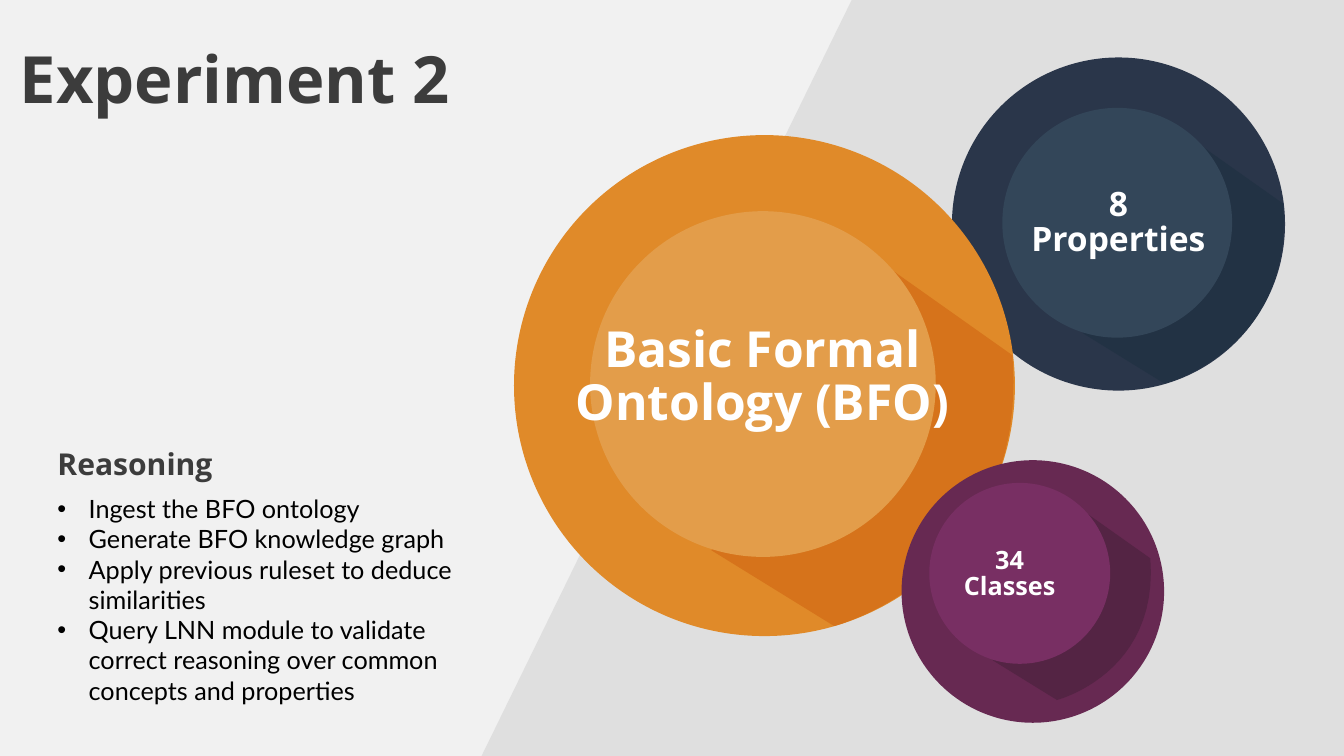
from dataclasses import dataclass

from lxml.etree import SubElement
from pptx import Presentation
from pptx.dml.color import RGBColor
from pptx.enum.shapes import MSO_SHAPE
from pptx.enum.text import MSO_ANCHOR, PP_ALIGN
from pptx.oxml.ns import qn
from pptx.util import Pt

PAGE_WIDTH, PAGE_HEIGHT = 1920.24, 1080
LIGHT_GREY = RGBColor(0xF1, 0xF1, 0xF1)
MID_GREY = RGBColor(0xDF, 0xDF, 0xDF)
CHARCOAL = RGBColor(0x3C, 0x3C, 0x3C)
BLACK = RGBColor(0, 0, 0)
WHITE = RGBColor(0xFF, 0xFF, 0xFF)
NAVY = RGBColor(0x2A, 0x36, 0x4A)
NAVY_SHADE = RGBColor(0x22, 0x32, 0x44)
NAVY_DISC = RGBColor(0x33, 0x46, 0x59)
ORANGE = RGBColor(0xE0, 0x8A, 0x29)
ORANGE_SHADE = RGBColor(0xD6, 0x73, 0x1B)
ORANGE_DISC = RGBColor(0xE3, 0x9D, 0x4A)
PURPLE = RGBColor(0x67, 0x29, 0x52)
PURPLE_SHADE = RGBColor(0x54, 0x24, 0x44)
PURPLE_DISC = RGBColor(0x78, 0x2F, 0x63)

HEADING_FONT, BODY_FONT = "Open Sans", "Lato"
BULLET_INDENT = 44.64
CURVE_STEPS = 24

# Long shadow, in fractions of the inner disc's diameter
SHADOW_START = (0.351, 0.981)
CURVE_START, CURVE_CONTROL, CURVE_END = (0.706, 1.2), (1.271, 1.054), (1.222, 0.417)
SHADOW_LAST = (0.87, 0.168)


@dataclass(frozen=True)
class Area:
    left: float
    top: float
    width: float
    height: float

    def lengths(self) -> tuple:
        return Pt(self.left), Pt(self.top), Pt(self.width), Pt(self.height)


@dataclass(frozen=True)
class Bubble:
    ring: Area
    disc: Area
    label_area: Area
    label: str
    font_size: float
    ring_color: RGBColor
    shadow_color: RGBColor
    disc_color: RGBColor


def square(left: float, top: float, side: float) -> Area:
    return Area(left, top, side, side)


BUBBLES = [
    Bubble(square(1360.1, 82.1, 475.9), square(1432.1, 154.1, 328.3),
           Area(1465.9, 260, 264.2, 118), "8\vProperties", 48,
           NAVY, NAVY_SHADE, NAVY_DISC),
    Bubble(square(734.4, 193, 715.7), square(843.1, 301.7, 493.9),
           Area(812.9, 454.3, 553, 172.1), "Basic Formal Ontology (BFO)", 71,
           ORANGE, ORANGE_SHADE, ORANGE_DISC),
    Bubble(square(1288.1, 657.4, 375.1), square(1327.7, 689.8, 258.5),
           Area(1360, 776, 164.9, 89), "34\vClasses", 36,
           PURPLE, PURPLE_SHADE, PURPLE_DISC),
]

REASONING_STEPS = [
    "Ingest the BFO ontology",
    "Generate BFO knowledge graph",
    "Apply previous ruleset to deduce similarities",
    "Query LNN module to validate correct reasoning over common concepts and properties",
]


def paint(shape, color: RGBColor) -> None:
    shape.shadow.inherit = False
    shape.fill.solid()
    shape.fill.fore_color.rgb = color
    shape.line.fill.background()


def add_disc(page, area: Area, color: RGBColor) -> None:
    paint(page.shapes.add_shape(MSO_SHAPE.OVAL, *area.lengths()), color)


def add_outline(page, points: list, color: RGBColor) -> None:
    corners = [(Pt(x), Pt(y)) for x, y in points]
    builder = page.shapes.build_freeform(*corners[0])
    builder.add_line_segments(corners[1:], close=True)
    paint(builder.convert_to_shape(), color)


def add_text(page, area: Area, lines: list, size: float, color: RGBColor,
             font: str = HEADING_FONT, bold: bool = True,
             align: PP_ALIGN = PP_ALIGN.LEFT, spacing: float = 1.0,
             bullets: bool = False) -> None:
    frame = page.shapes.add_textbox(*area.lengths()).text_frame
    frame.word_wrap = True
    frame.vertical_anchor = MSO_ANCHOR.MIDDLE
    frame.margin_left = frame.margin_top = frame.margin_right = frame.margin_bottom = 0
    frame.text = "\n".join(lines)
    for para in frame.paragraphs:
        para.alignment = align
        para.line_spacing = spacing
        para.font.name = font
        para.font.size = Pt(size)
        para.font.bold = bold
        para.font.color.rgb = color
        if bullets:
            add_bullet(para)


def add_bullet(para) -> None:
    properties = para._p.get_or_add_pPr()
    properties.set("marL", str(Pt(BULLET_INDENT)))
    properties.set("indent", str(-Pt(BULLET_INDENT)))
    bullet_font = SubElement(properties, qn("a:buFont"))
    bullet_font.set("typeface", "Arial")
    bullet = SubElement(properties, qn("a:buChar"))
    bullet.set("char", "•")
    # Default run properties must follow the bullet
    properties.append(properties.find(qn("a:defRPr")))


def shadow_points(disc: Area) -> list:
    """Outline whose curved side is a cubic with both early controls at its start."""
    curve = []
    for step in range(CURVE_STEPS + 1):
        t = step / CURVE_STEPS
        weights = ((1 - t) ** 3 + 3 * t * (1 - t) ** 2, 3 * t ** 2 * (1 - t), t ** 3)
        curve.append(tuple(
            sum(weight * value for weight, value in zip(weights, values))
            for values in zip(CURVE_START, CURVE_CONTROL, CURVE_END)))
    return [(disc.left + x * disc.width, disc.top + y * disc.height)
            for x, y in [SHADOW_START, *curve, SHADOW_LAST]]


def add_bubble(page, bubble: Bubble) -> None:
    add_disc(page, bubble.ring, bubble.ring_color)
    add_outline(page, shadow_points(bubble.disc), bubble.shadow_color)
    add_disc(page, bubble.disc, bubble.disc_color)
    add_text(page, bubble.label_area, [bubble.label], bubble.font_size, WHITE,
             align=PP_ALIGN.CENTER, spacing=0.88)


def main() -> None:
    deck = Presentation()
    deck.slide_width, deck.slide_height = Pt(PAGE_WIDTH), Pt(PAGE_HEIGHT)
    page = deck.slides.add_slide(deck.slide_layouts[6])

    # Background with slanted panel
    page.background.fill.solid()
    page.background.fill.fore_color.rgb = LIGHT_GREY
    add_outline(page, [(1216.8, 0), (PAGE_WIDTH, 0), (PAGE_WIDTH, PAGE_HEIGHT),
                       (688, PAGE_HEIGHT)], MID_GREY)

    # Title and reasoning steps
    add_text(page, Area(82.1, 632.9, 578.2, 59.8), ["Reasoning"], 43, CHARCOAL)
    add_text(page, Area(28.1, 51.8, 1134, 118.8), ["Experiment 2"], 93, CHARCOAL)
    add_text(page, Area(82.1, 720, 596.2, 272.2), REASONING_STEPS, 36, BLACK,
             font=BODY_FONT, bold=False, bullets=True)

    # Ontology bubbles, back to front
    for bubble in BUBBLES:
        add_bubble(page, bubble)

    deck.save("out.pptx")


if __name__ == "__main__":
    main()
